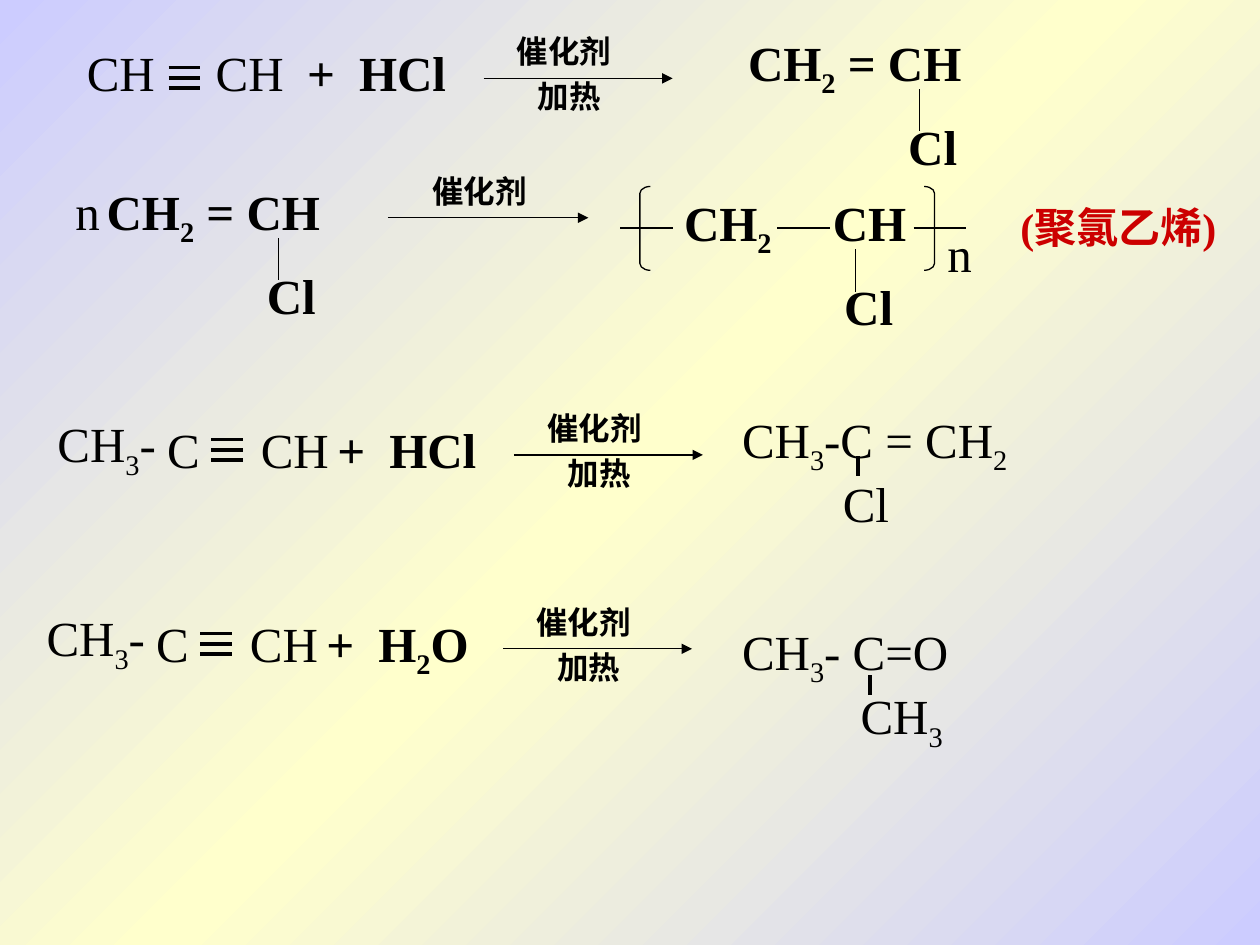
from copy import deepcopy
from itertools import groupby

from pptx import Presentation
from pptx.dml.color import RGBColor
from pptx.enum.shapes import MSO_CONNECTOR as Connector, MSO_SHAPE as Shape
from pptx.enum.text import MSO_AUTO_SIZE as AutoSize
from pptx.oxml.ns import qn
from pptx.oxml.xmlchemy import OxmlElement
from pptx.util import Cm, Pt

COLORS = {"ink": "000000", "name": "CC0000", "edge": "CCCCFF", "middle": "FFFFCC"}
FONT = "Times New Roman"
THIN, THICK = 0.75, 2.25
HEIGHTS = {18: 1.02, 24: 1.27, 28: 1.45}


def color(name):
    return RGBColor.from_string(COLORS[name])


class ReactionSlide:
    """Draws formulas and bonds on a slide; all lengths are in centimetres."""

    def __init__(self, presentation):
        self.slide = presentation.slides.add_slide(presentation.slide_layouts[6])
        self.shapes = self.slide.shapes

    def background(self, *names):
        fill = self.slide.background.fill
        fill.gradient()
        fill.gradient_angle = 315
        stop_list = self.slide.element.find(".//" + qn("a:gsLst"))
        while len(stop_list) < len(names):
            stop_list.append(deepcopy(stop_list[0]))
        for index, (stop, name) in enumerate(zip(fill.gradient_stops, names)):
            stop.position = index / (len(names) - 1)
            stop.color.rgb = color(name)

    def start_group(self):
        self.shapes = self.slide.shapes.add_group_shape().shapes

    def end_group(self):
        self.shapes = self.slide.shapes

    def text(self, text, x, y, width, size=28, bold=False, ink="ink", tab=None):
        """Add one line of text; digits become subscripts."""
        box = self.shapes.add_textbox(Cm(x), Cm(y), Cm(width), Cm(HEIGHTS[size]))
        frame = box.text_frame
        frame.word_wrap = True
        frame.auto_size = AutoSize.SHAPE_TO_FIT_TEXT
        paragraph = frame.paragraphs[0]
        if tab:
            tab_list = OxmlElement("a:tabLst")
            stop = OxmlElement("a:tab")
            stop.set("pos", str(Cm(tab)))
            stop.set("algn", "l")
            tab_list.append(stop)
            paragraph._p.get_or_add_pPr().append(tab_list)
        for is_subscript, letters in groupby(text, str.isdigit):
            run = paragraph.add_run()
            run.text = "".join(letters)
            run.font.name = FONT
            run.font.size = Pt(size)
            run.font.bold = bold
            run.font.color.rgb = color(ink)
            if is_subscript:
                run.font._element.set("baseline", "-25000")

    def line(self, x1, y1, x2, y2, weight=THIN, arrow=False):
        connector = self.shapes.add_connector(
            Connector.STRAIGHT, Cm(x1), Cm(y1), Cm(x2), Cm(y2))
        connector.line.color.rgb = color("ink")
        connector.line.width = Pt(weight)
        if arrow:
            tail = OxmlElement("a:tailEnd")
            tail.set("type", "triangle")
            connector.line._get_or_add_ln().append(tail)
        connector._element.spPr.append(OxmlElement("a:effectLst"))

    def bracket(self, kind, x, y):
        shape = self.shapes.add_shape(kind, Cm(x), Cm(y), Cm(0.21), Cm(1.69))
        shape.adjustments[0] = 0.66
        shape.shadow.inherit = False
        shape.fill.background()
        shape.line.color.rgb = color("ink")
        shape.line.width = Pt(THIN)

    def triple_bond(self, x, y):
        for offset in (-0.21, 0, 0.21):
            self.line(x, y + offset, x + 0.64, y + offset, THICK)

    def arrow(self, x, y, length=3.81, label_offset=0.42, heated=True):
        self.line(x, y, x + length, y, arrow=True)
        self.text("催化剂", x + label_offset, y - 1.05, 2.74, 18, True)
        if heated:
            self.text("加热", x + 0.84, y - 0.15, 2.74, 18, True)

    def reagent(self, text, x, y):
        """Add the second reactant and the reaction arrow after it."""
        self.text(text, x, y, 3.6, bold=True, tab=1.05)
        self.arrow(x + 3.81, y + 0.84)

    def first_reactant(self, x, y):
        self.text("C\tCH", x, y, 6.99, tab=1.89)
        self.triple_bond(x + 1.14, y + 0.74)
        self.text("CH3-", x - 2.21, y - 0.11, 2.97)

    def formula_with_cl(self, text, x, y, tab=None):
        """Add a formula with Cl bonded below its last CH."""
        self.text(text, x, y, 6.35, bold=True, tab=tab)
        self.line(x + 3.71, y + 1.27, x + 3.71, y + 2.12)
        self.text("Cl", x + 3.23, y + 1.69, 1.85, bold=True)

    def product(self, text, y, branch, branch_x, bond_x, bond_y):
        self.text(text, 14.71, y, 7)
        self.text(branch, branch_x, y + 1.3, 3)
        self.line(bond_x, bond_y, bond_x, bond_y + 0.4, THICK)


def main():
    presentation = Presentation()
    presentation.slide_width = Cm(25.4)
    presentation.slide_height = Cm(19.05)
    slide = ReactionSlide(presentation)
    slide.background("edge", "middle", "edge")

    # First row
    slide.start_group()
    slide.text("CH\tCH", 1.5, 0.74, 6.99, tab=2.6)
    slide.triple_bond(3.4, 1.57)
    slide.reagent("+\tHCl", 5.94, 0.74)
    slide.formula_with_cl("CH2 = CH", 14.83, 0.53)

    # Second row
    slide.start_group()
    slide.formula_with_cl("CH2 = CH", 1.9, 3.53)
    slide.text("n", 1.27, 3.53, 1.07)
    slide.arrow(7.82, 4.39, 4.04, 0.64, heated=False)
    slide.formula_with_cl("CH2\tCH", 13.54, 3.76, tab=3)
    for x in (12.5, 15.67, 18.42):
        slide.line(x, 4.6, x + 1.06, 4.6)
    slide.bracket(Shape.LEFT_BRACKET, 12.9, 3.76)
    slide.bracket(Shape.RIGHT_BRACKET, 18.63, 3.76)
    slide.text("n", 18.85, 4.39, 1.07)
    slide.end_group()
    slide.text("(聚氯乙烯)", 20.32, 3.94, 4.9, 24, True, "name")

    # Third and fourth rows
    for x, y, reagent in ((3.12, 8.33, "+\tHCl"), (2.9, 12.24, "+\tH2O")):
        slide.start_group()
        slide.first_reactant(x, y)
        slide.reagent(reagent, x + 3.43, y)
    slide.start_group()
    slide.product("CH3- C=O", 12.4, "CH3", 17.1, 17.53, 13.61)
    slide.start_group()
    slide.product("CH3-C = CH2", 8.13, "Cl", 16.74, 17.3, 9.2)

    presentation.save("out.pptx")


if __name__ == "__main__":
    main()
